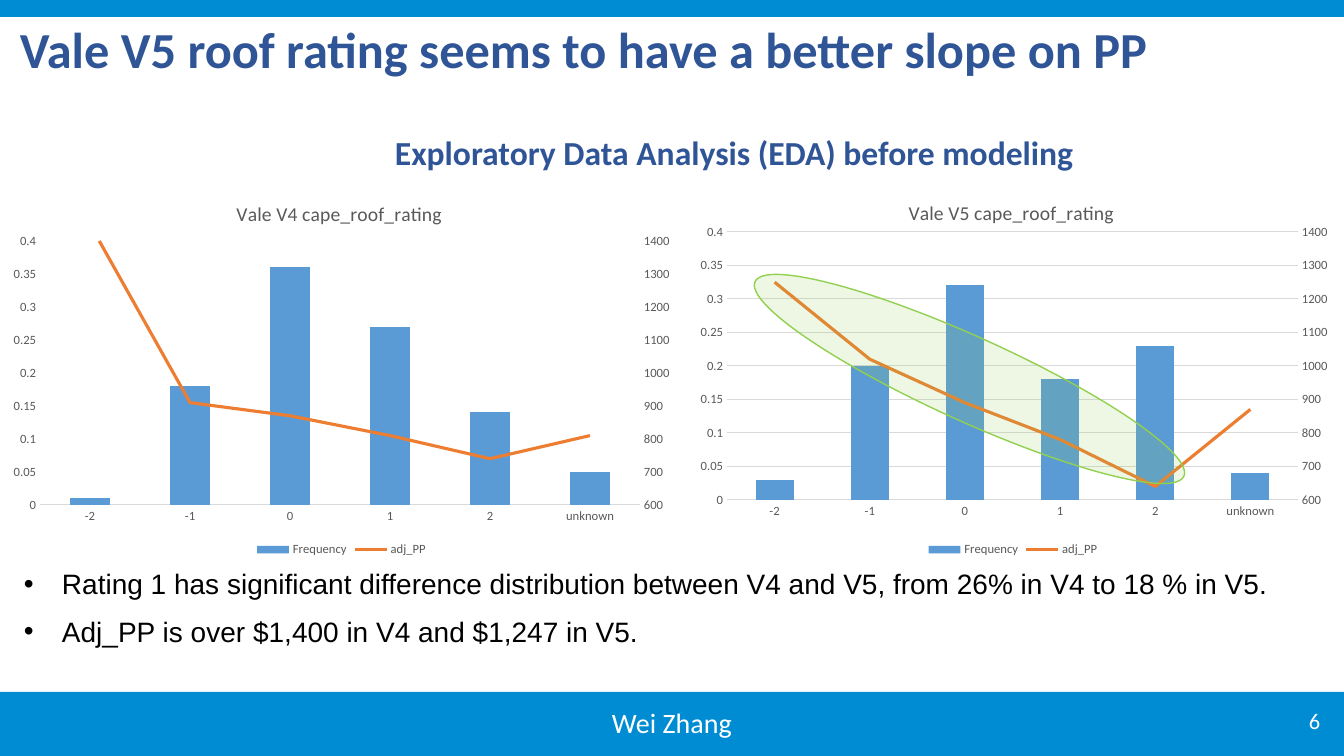
"""Build the roof rating slide: two combined charts, a highlight and two takeaways."""
from copy import deepcopy

from lxml.etree import SubElement
from pptx import Presentation
from pptx.chart.axis import CategoryAxis, ValueAxis
from pptx.chart.data import CategoryChartData
from pptx.dml.color import RGBColor
from pptx.enum.chart import XL_CHART_TYPE as ChartType, XL_LEGEND_POSITION as LegendAt
from pptx.enum.chart import XL_MARKER_STYLE as Marker, XL_TICK_MARK as Tick
from pptx.enum.shapes import MSO_SHAPE as Shape
from pptx.enum.text import MSO_ANCHOR as Anchor, PP_ALIGN as Align
from pptx.oxml import parse_xml
from pptx.oxml.ns import nsdecls, qn
from pptx.util import Pt

BAND_BLUE = RGBColor(0x00, 0x8C, 0xD3)
TITLE_BLUE = RGBColor(0x2F, 0x55, 0x97)
BAR_BLUE = RGBColor(0x5B, 0x9B, 0xD5)
LINE_ORANGE = RGBColor(0xED, 0x7D, 0x31)
LABEL_GREY = RGBColor(0x59, 0x59, 0x59)
GRID_GREY = RGBColor(0xD9, 0xD9, 0xD9)
GREEN = RGBColor(0x92, 0xD0, 0x50)
WHITE = RGBColor(0xFF, 0xFF, 0xFF)
BLACK = RGBColor(0x00, 0x00, 0x00)

HEADLINE = "Vale V5 roof rating seems to have a better slope on PP"
SUBTITLE = "Exploratory Data Analysis (EDA) before modeling"
TAKEAWAYS = [
    "Rating 1 has significant difference distribution between V4 and V5, "
    "from 26% in V4 to 18 % in V5.",
    "Adj_PP is over $1,400 in V4 and $1,247 in V5.",
]
PRESENTER = "Wei Zhang"
PAGE = "6"
RATINGS = ["-2", "-1", "0", "1", "2", "unknown"]
CHARTS = [
    {"title": "Vale V5 cape_roof_rating", "title_at": (905, 196), "grid": True,
     "frame": (683, 177, 660, 384), "plot": (727, 232, 571, 268),
     "Frequency": [0.03, 0.2, 0.32, 0.18, 0.23, 0.04],
     "adj_PP": [1250, 1020, 890, 780, 640, 870]},
    {"title": "Vale V4 cape_roof_rating", "title_at": (233, 197), "grid": False,
     "frame": (0, 177, 683, 384), "plot": (40, 241, 600, 264),
     "Frequency": [0.01, 0.18, 0.36, 0.27, 0.14, 0.05],
     "adj_PP": [1450, 910, 870, 810, 740, 810]},
]
BANDS = [(0, 692, 1344, 64), (0, 0, 1344, 17)]
HIGHLIGHT = (734, 337, 471, 84)
WIDTH, HEIGHT = 1344, 756
EMU_PER_PX = 914400 / 100.8


def px(*lengths):
    return [round(length * EMU_PER_PX) for length in lengths]


def style_font(font, size, color, face="Calibri", bold=False):
    font.size, font.name, font.bold = Pt(size), face, bold
    font.color.rgb = color


def add_text(slide, box, *lines, size, color, face="Calibri", bold=False,
             align=Align.LEFT, anchor=Anchor.TOP, spacing=None, gap=0, bullet_indent=0):
    frame = slide.shapes.add_textbox(*px(*box)).text_frame
    frame.word_wrap = True
    frame.vertical_anchor = anchor
    for index, line in enumerate(lines):
        paragraph = frame.paragraphs[0] if index == 0 else frame.add_paragraph()
        paragraph.text = line
        paragraph.alignment = align
        paragraph.line_spacing = spacing
        if index:
            paragraph.space_before = Pt(gap)
        paragraph.space_after = Pt(gap)
        if bullet_indent:
            indent = px(bullet_indent)[0]
            properties = paragraph._p.get_or_add_pPr()
            properties.set("marL", str(indent))
            properties.set("indent", str(-indent))
            SubElement(properties, qn("a:buFont")).set("typeface", "Arial")
            SubElement(properties, qn("a:buChar")).set("char", "•")
        style_font(paragraph.runs[0].font, size, color, face, bold)


def add_filled(slide, kind, box, color):
    shape = slide.shapes.add_shape(kind, *px(*box))
    shape.shadow.inherit = False
    shape.fill.solid()
    shape.fill.fore_color.rgb = color
    shape.line.fill.background()
    return shape


def manual_layout(frame, place, inner=False):
    """Return a layout that puts a chart part at a place given in slide px."""
    left, top, width, height = frame
    shares = [(place[0] - left) / width, (place[1] - top) / height]
    shares += [length / whole for length, whole in zip(place[2:], (width, height))]
    parts = '<c:layoutTarget val="inner"/>' if inner else ""
    parts += '<c:xMode val="edge"/><c:yMode val="edge"/>'
    parts += "".join(f'<c:{name} val="{share:.4f}"/>' for name, share in zip("xywh", shares))
    return parse_xml(f'<c:layout {nsdecls("c")}><c:manualLayout>{parts}</c:manualLayout></c:layout>')


def put_layout(parent, layout, before):
    for old in parent.findall(qn("c:layout")):
        parent.remove(old)
    parent.find(qn(before)).addprevious(layout)


def style_value_axis(axis, low, high, step):
    axis.minimum_scale, axis.maximum_scale, axis.major_unit = low, high, step


def move_to_right_axis(chart):
    """Turn the second series into a line on its own value axis."""
    plot_area = chart._chartSpace.chart.plotArea
    bars = plot_area.find(qn("c:barChart"))
    series = bars.findall(qn("c:ser"))[1]
    for bar_only in series.findall(qn("c:invertIfNegative")):
        series.remove(bar_only)
    lines = parse_xml(
        f'<c:lineChart {nsdecls("c")}><c:grouping val="standard"/><c:varyColors val="0"/>'
        '<c:marker val="1"/><c:axId val="5001"/><c:axId val="5002"/></c:lineChart>')
    lines.find(qn("c:marker")).addprevious(series)
    bars.addnext(lines)

    left = plot_area.find(qn("c:valAx"))
    right, hidden = deepcopy(left), deepcopy(plot_area.find(qn("c:catAx")))
    left.addnext(right)
    right.addnext(hidden)
    for axis, own, other in ((right, "5002", "5001"), (hidden, "5001", "5002")):
        axis.find(qn("c:axId")).set("val", own)
        axis.find(qn("c:crossAx")).set("val", other)
    right.find(qn("c:axPos")).set("val", "r")
    right.find(qn("c:crosses")).set("val", "max")
    CategoryAxis(hidden).visible = False
    right_axis = ValueAxis(right)
    right_axis.has_major_gridlines = False
    style_value_axis(right_axis, 600, 1400, 100)


def add_rating_chart(slide, content):
    data = CategoryChartData()
    data.categories = RATINGS
    for name in ("Frequency", "adj_PP"):
        data.add_series(name, content[name])
    chart = slide.shapes.add_chart(
        ChartType.COLUMN_CLUSTERED, *px(*content["frame"]), data).chart
    style_font(chart.font, 10, BLACK)

    chart.has_title = True
    chart.chart_title.text_frame.text = content["title"]
    style_font(chart.chart_title.text_frame.paragraphs[0].runs[0].font, 14, LABEL_GREY)
    put_layout(chart.chart_title._element,
               manual_layout(content["frame"], content["title_at"]), "c:overlay")

    chart.has_legend = True
    chart.legend.position = LegendAt.BOTTOM
    chart.legend.include_in_layout = False
    style_font(chart.legend.font, 9, LABEL_GREY)

    ratings, frequency = chart.category_axis, chart.value_axis
    for axis in (ratings, frequency):
        axis.major_tick_mark = axis.minor_tick_mark = Tick.NONE
        style_font(axis.tick_labels.font, 9, LABEL_GREY)
    ratings.format.line.color.rgb = GRID_GREY
    ratings.format.line.width = Pt(0.75)
    frequency.format.line.fill.background()
    frequency.has_major_gridlines = content["grid"]
    if content["grid"]:
        frequency.major_gridlines.format.line.color.rgb = GRID_GREY
        frequency.major_gridlines.format.line.width = Pt(0.75)
    style_value_axis(frequency, 0, 0.4, 0.05)
    move_to_right_axis(chart)
    put_layout(chart._chartSpace.chart.plotArea,
               manual_layout(content["frame"], content["plot"], inner=True), "c:barChart")

    bars, lines = chart.plots
    bars.gap_width = 150
    bars.vary_by_categories = False
    bars.series[0].format.fill.solid()
    bars.series[0].format.fill.fore_color.rgb = BAR_BLUE
    pp_line = lines.series[0]
    pp_line.smooth = False
    pp_line.marker.style = Marker.NONE
    pp_line.format.line.color.rgb = LINE_ORANGE
    pp_line.format.line.width = Pt(2.25)


def main():
    deck = Presentation()
    deck.slide_width, deck.slide_height = px(WIDTH, HEIGHT)
    slide = deck.slides.add_slide(deck.slide_layouts[6])
    for band in BANDS:
        add_filled(slide, Shape.RECTANGLE, band, BAND_BLUE)
    add_text(slide, (1028, 701, 302, 40), PAGE, size=16, color=WHITE,
             align=Align.RIGHT, anchor=Anchor.MIDDLE)
    add_text(slide, (385, 127, 959, 50), SUBTITLE, size=24, color=TITLE_BLUE, bold=True)
    add_text(slide, (10, 18, 1236, 68), HEADLINE, size=36, color=TITLE_BLUE, bold=True,
             anchor=Anchor.MIDDLE, spacing=0.9)
    add_text(slide, (14, 562, 1284, 92), *TAKEAWAYS, size=20, color=BLACK, face="Arial",
             gap=5, bullet_indent=38)
    for content in CHARTS:
        add_rating_chart(slide, content)
    highlight = add_filled(slide, Shape.OVAL, HIGHLIGHT, GREEN)
    highlight.rotation = 24.4
    fill_color = highlight._element.spPr.find(qn("a:solidFill"))[0]
    SubElement(fill_color, qn("a:alpha")).set("val", "15000")
    highlight.line.color.rgb = GREEN
    highlight.line.width = Pt(1)
    add_text(slide, (445, 701, 454, 40), PRESENTER, size=20, color=WHITE, align=Align.CENTER)
    deck.save("out.pptx")


if __name__ == "__main__":
    main()
